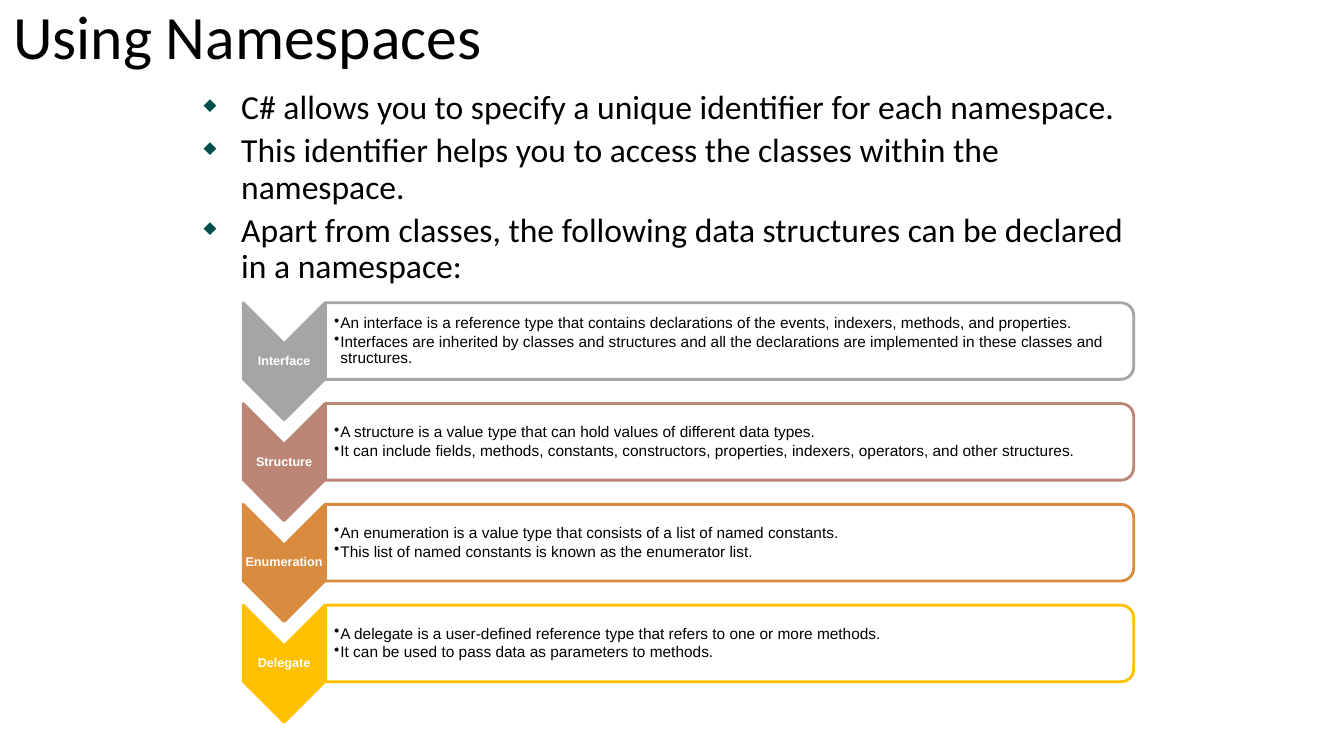
from lxml.etree import SubElement
from pptx import Presentation
from pptx.dml.color import RGBColor
from pptx.enum.shapes import MSO_SHAPE
from pptx.enum.text import MSO_ANCHOR, PP_ALIGN
from pptx.oxml.ns import qn
from pptx.util import Cm, Pt

# Content
TITLE = "Using Namespaces"
POINTS = [
    "C# allows you to specify a unique identifier for each namespace.",
    "This identifier helps you to access the classes within the namespace.",
    "Apart from classes, the following data structures can be declared in a namespace:",
]
STRUCTURES = [
    ("Interface", [
        "An interface is a reference type that contains declarations of the events, "
        "indexers, methods, and properties.",
        "Interfaces are inherited by classes and structures and all the declarations "
        "are implemented in these classes and structures.",
    ]),
    ("Structure", [
        "A structure is a value type that can hold values of different data types.",
        "It can include fields, methods, constants, constructors, properties, indexers, "
        "operators, and other structures.",
    ]),
    ("Enumeration", [
        "An enumeration is a value type that consists of a list of named constants.",
        "This list of named constants is known as the enumerator list.",
    ]),
    ("Delegate", [
        "A delegate is a user-defined reference type that refers to one or more methods.",
        "It can be used to pass data as parameters to methods.",
    ]),
]
COLOURS = {
    "text": "000000", "label": "FFFFFF", "card": "FFFFFF", "diamond": "004E4C",
    "Interface": "A5A5A5", "Structure": "BB8676",
    "Enumeration": "D98B3F", "Delegate": "FFC000",
}

# Layout in centimetres
FIRST_TOP, ROW_STEP = 7.63, 2.54
CHEVRON_LEFT, CHEVRON_WIDTH, CHEVRON_HEIGHT = 6.13, 2.06, 2.95
CARD_LEFT, CARD_WIDTH, CARD_HEIGHT = 8.2, 20.37, 1.93


def colour(name):
    return RGBColor.from_string(COLOURS[name])


def add_bullet(para, char, indent, tint=None, percent=None):
    properties = para._p.get_or_add_pPr()
    properties.set("marL", str(Cm(indent)))
    properties.set("indent", str(-Cm(indent)))
    if tint:
        holder = SubElement(properties, qn("a:buClr"))
        SubElement(holder, qn("a:srgbClr"), val=COLOURS[tint])
    if percent:
        SubElement(properties, qn("a:buSzPct"), val=str(percent * 1000))
    SubElement(properties, qn("a:buChar"), char=char)


def add_text(page, area, lines, font, size, tint="text", bold=False, bullet=None,
             before=0, after=0, align=PP_ALIGN.LEFT, anchor=MSO_ANCHOR.MIDDLE,
             insets=(0.03, 0.03, 0.03, 0.03)):
    frame = page.shapes.add_textbox(*map(Cm, area)).text_frame
    frame.word_wrap = True
    frame.vertical_anchor = anchor
    (frame.margin_left, frame.margin_top,
     frame.margin_right, frame.margin_bottom) = map(Cm, insets)
    for index, line in enumerate(lines):
        para = frame.add_paragraph() if index else frame.paragraphs[0]
        para.text = line
        para.alignment = align
        para.line_spacing = 0.9
        para.space_before = Pt(before if index else 0)
        para.space_after = Pt(after)
        if bullet:
            add_bullet(para, *bullet)
        para.font.name, para.font.size, para.font.bold = font, Pt(size), bold
        para.font.color.rgb = colour(tint)


def add_turned(page, kind, left, top, width, height, fill, line):
    """Add a shape turned by 90 degrees that covers the given area."""
    shift = (width - height) / 2
    shape = page.shapes.add_shape(
        kind, Cm(left + shift), Cm(top - shift), Cm(height), Cm(width))
    shape.rotation = 90
    shape.shadow.inherit = False
    shape.fill.solid()
    shape.fill.fore_color.rgb = colour(fill)
    shape.line.color.rgb = colour(line)
    shape.line.width = Pt(2)
    return shape


def add_structure(page, top, name, facts):
    add_turned(page, MSO_SHAPE.CHEVRON, CHEVRON_LEFT, top,
               CHEVRON_WIDTH, CHEVRON_HEIGHT, name, name)
    add_text(page, (CHEVRON_LEFT, top + CHEVRON_WIDTH / 2, CHEVRON_WIDTH, 0.89), [name],
             "Arial", 9, "label", bold=True, align=PP_ALIGN.CENTER)
    card = add_turned(page, MSO_SHAPE.ROUND_2_SAME_RECTANGLE, CARD_LEFT, top,
                      CARD_WIDTH, CARD_HEIGHT, "card", name)
    tint = card.fill._xPr.find(qn("a:solidFill"))[0]
    SubElement(tint, qn("a:alpha"), val="90000")
    add_text(page, (CARD_LEFT, top + 0.1, CARD_WIDTH - 0.1, CARD_HEIGHT - 0.2), facts,
             "Arial", 11, bullet=("•", 0.16), after=1.65,
             insets=(0.22, 0.03, 0.03, 0.03))


def main():
    deck = Presentation()
    deck.slide_width, deck.slide_height = Cm(33.87), Cm(19.05)
    page = deck.slides.add_slide(deck.slide_layouts[6])

    # Title and main points
    add_text(page, (0.08, 0.05, 33.65, 1.9), [TITLE], "Calibri", 44, insets=[0.25] * 4)
    add_text(page, (4.88, 2.16, 24.13, 5.3), POINTS, "Calibri", 24,
             bullet=("◆", 0.95, "diamond", 50), before=4.8,
             anchor=MSO_ANCHOR.TOP, insets=(0.25, 0.13, 0.25, 0.13))

    # Chevron list of data structures
    for row, (name, facts) in enumerate(STRUCTURES):
        add_structure(page, FIRST_TOP + row * ROW_STEP, name, facts)

    deck.save("out.pptx")


if __name__ == "__main__":
    main()
